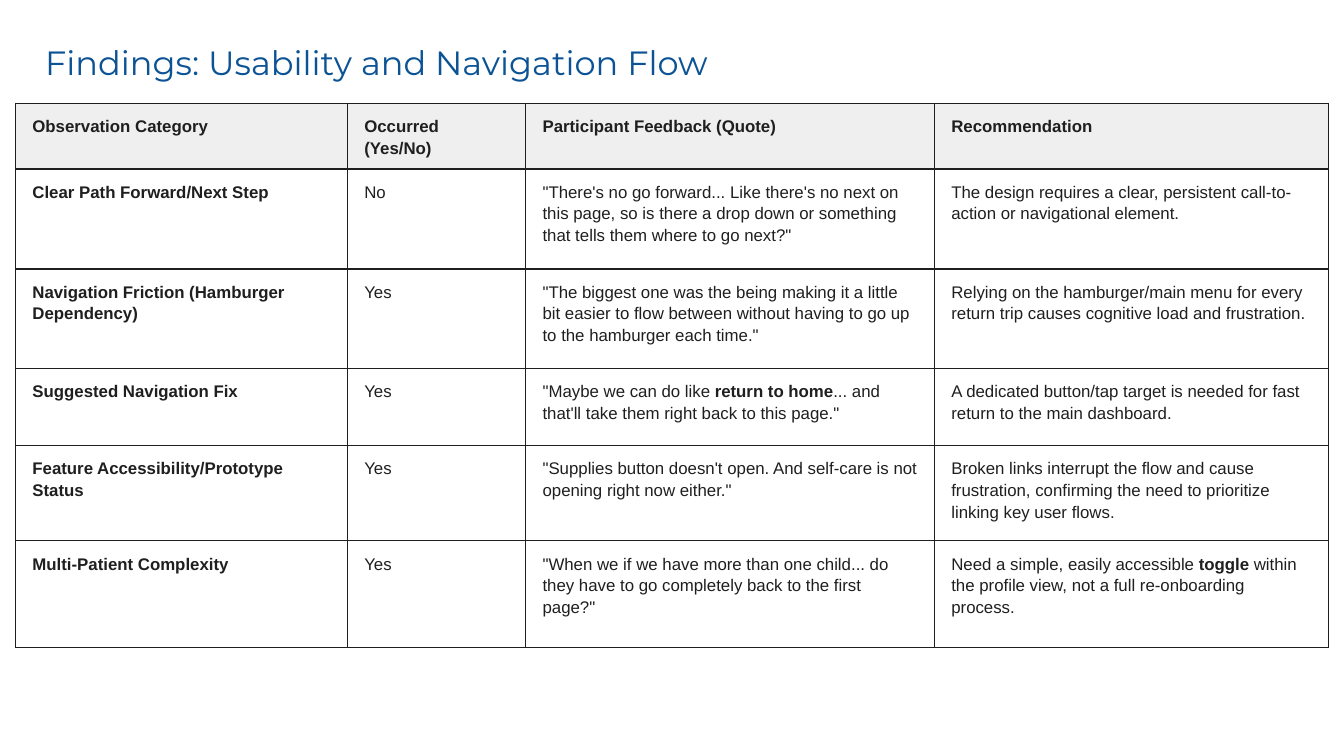
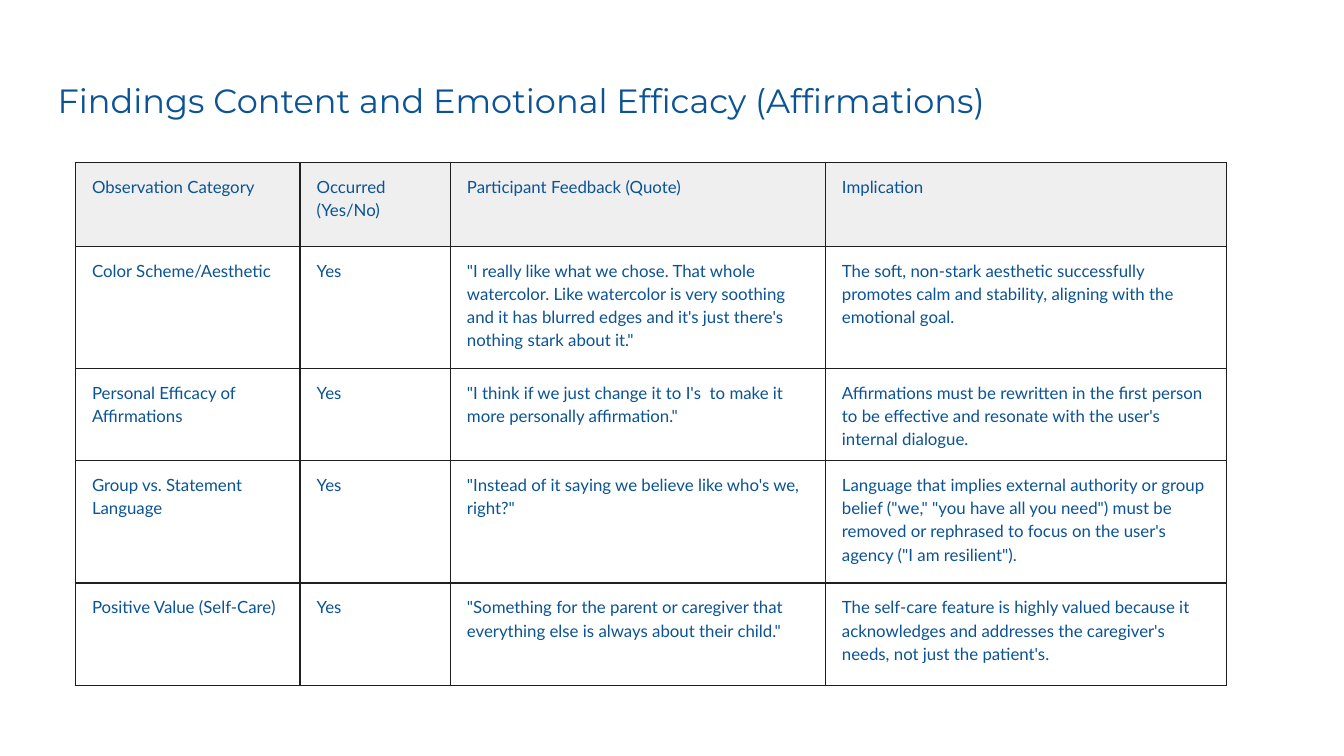
"""Build two slides of usability findings, each a title above a bordered table."""
from lxml import etree
from pptx import Presentation
from pptx.dml.color import RGBColor
from pptx.enum.text import MSO_AUTO_SIZE
from pptx.oxml.ns import qn
from pptx.util import Pt

GROW = MSO_AUTO_SIZE.SHAPE_TO_FIT_TEXT
COLORS = {"blue": "0B5394", "ink": "1F1F1F", "header": "EFEFEF"}
TITLE_FONT = "Montserrat"
TITLE_SIZE = 18
CELL_SIZE = 9
LINE_SPACING = 1.15
BORDER_WIDTH = 0.75

USABILITY_ROWS = [
    ["Observation Category", "Occurred (Yes/No)",
     "Participant Feedback (Quote)", "Recommendation"],
    ["Clear Path Forward/Next Step", "No",
     "\"There's no go forward... Like there's no next on this page, so is there "
     "a drop down or something that tells them where to go next?\"",
     "The design requires a clear, persistent call-to-action or navigational element."],
    ["Navigation Friction (Hamburger Dependency)", "Yes",
     "\"The biggest one was the being making it a little bit easier to flow "
     "between without having to go up to the hamburger each time.\"",
     "Relying on the hamburger/main menu for every return trip causes cognitive "
     "load and frustration."],
    ["Suggested Navigation Fix", "Yes",
     "\"Maybe we can do like **return to home**... and that'll take them right "
     "back to this page.\"",
     "A dedicated button/tap target is needed for fast return to the main dashboard."],
    ["Feature Accessibility/Prototype Status", "Yes",
     "\"Supplies button doesn't open. And self-care is not opening right now either.\"",
     "Broken links interrupt the flow and cause frustration, confirming the need "
     "to prioritize linking key user flows."],
    ["Multi-Patient Complexity", "Yes",
     "\"When we if we have more than one child... do they have to go completely "
     "back to the first page?\"",
     "Need a simple, easily accessible **toggle** within the profile view, not a "
     "full re-onboarding process."],
]

CONTENT_ROWS = [
    ["Observation Category", "Occurred (Yes/No)",
     "Participant Feedback (Quote)", "Implication"],
    ["Color Scheme/Aesthetic", "Yes",
     "\"I really like what we chose. That whole watercolor. Like watercolor is "
     "very soothing and it has blurred edges and it's just there's nothing stark "
     "about it.\"",
     "The soft, non-stark aesthetic successfully promotes calm and stability, "
     "aligning with the emotional goal."],
    ["Personal Efficacy of Affirmations", "Yes",
     "\"I think if we just change it to I's  to make it more personally affirmation.\"",
     "Affirmations must be rewritten in the first person to be effective and "
     "resonate with the user's internal dialogue."],
    ["Group vs. Statement Language", "Yes",
     "\"Instead of it saying we believe like who's we, right?\"",
     "Language that implies external authority or group belief (\"we,\" \"you have "
     "all you need\") must be removed or rephrased to focus on the user's agency "
     "(\"I am resilient\")."],
    ["Positive Value (Self-Care)", "Yes",
     "\"Something for the parent or caregiver that everything else is always "
     "about their child.\"",
     "The self-care feature is highly valued because it acknowledges and addresses "
     "the caregiver's needs, not just the patient's."],
]


class FindingsDeck:
    """Hold the shared style and the current slide."""

    def __init__(self):
        self.deck = Presentation()
        self.deck.slide_width = Pt(720)
        self.deck.slide_height = Pt(405)
        self.page = None

    def add_page(self):
        """Start a blank slide."""
        self.page = self.deck.slides.add_slide(self.deck.slide_layouts[6])

    def style_span(self, span, font, size, color, bold=False):
        """Set the font of one run."""
        span.font.name = font
        span.font.size = Pt(size)
        span.font.bold = bold
        span.font.color.rgb = RGBColor.from_string(COLORS[color])

    def add_title(self, text, left, top, width, height, inset=7.2, space_after=0):
        """Add the slide title."""
        box = self.page.shapes.add_textbox(Pt(left), Pt(top), Pt(width), Pt(height))
        frame = box.text_frame
        frame.word_wrap = True
        frame.auto_size = GROW
        frame.margin_left = Pt(inset)
        frame.margin_right = frame.margin_top = frame.margin_bottom = Pt(7.2)
        frame.text = text
        para = frame.paragraphs[0]
        para.line_spacing = LINE_SPACING
        para.space_after = Pt(space_after)
        self.style_span(para.runs[0], TITLE_FONT, TITLE_SIZE, "blue")

    def add_borders(self, cell):
        """Draw the four borders of a cell."""
        properties = cell._tc.get_or_add_tcPr()
        for side in ("a:lnL", "a:lnR", "a:lnT", "a:lnB"):
            line = etree.SubElement(properties, qn(side), w=str(Pt(BORDER_WIDTH)))
            fill = etree.SubElement(line, qn("a:solidFill"))
            etree.SubElement(fill, qn("a:srgbClr"), val=COLORS["ink"])

    def fill_cell(self, cell, text, font, color, bold, header):
        """Write a cell, with text between double asterisks in bold."""
        cell.margin_left = cell.margin_right = Pt(9)
        cell.margin_top = cell.margin_bottom = Pt(6)
        para = cell.text_frame.paragraphs[0]
        para.line_spacing = LINE_SPACING
        for index, part in enumerate(text.split("**")):
            span = para.add_run()
            span.text = part
            self.style_span(span, font, CELL_SIZE, color, bold or index % 2 == 1)
        self.add_borders(cell)
        if header:
            cell.fill.solid()
            cell.fill.fore_color.rgb = RGBColor.from_string(COLORS["header"])
        else:
            cell.fill.background()

    def add_findings(self, rows, left, top, widths, heights, font, color, bold_labels):
        """Add a findings table with a shaded header row."""
        table = self.page.shapes.add_table(
            len(rows), len(widths), Pt(left), Pt(top),
            Pt(sum(widths)), Pt(sum(heights))).table
        table.first_row = table.horz_banding = False
        for column, width in zip(table.columns, widths):
            column.width = Pt(width)
        for row, height in zip(table.rows, heights):
            row.height = Pt(height)
        for r, texts in enumerate(rows):
            for c, text in enumerate(texts):
                bold = bold_labels and (r == 0 or c == 0)
                self.fill_cell(table.cell(r, c), text, font, color, bold, r == 0)


def main():
    """Build and save both slides."""
    findings = FindingsDeck()

    findings.add_page()
    findings.add_findings(
        USABILITY_ROWS, 8.4, 55.4, [177.8, 95.5, 219, 211],
        [34.5, 53.5, 53.5, 41.2, 51, 57], "Arial", "ink", True)
    findings.add_title("Findings: Usability and Navigation Flow",
                       12.2, 12.2, 489, 36, inset=12, space_after=4)

    findings.add_page()
    findings.add_title("Findings Content and Emotional Efficacy (Affirmations)",
                       23.8, 32.4, 544.3, 62)
    findings.add_findings(
        CONTENT_ROWS, 40.3, 87.1, [120.4, 80.5, 200.9, 215],
        [45, 65.5, 36.7, 65.5, 54.7], "Lato", "blue", False)

    findings.deck.save("out.pptx")


if __name__ == "__main__":
    main()
